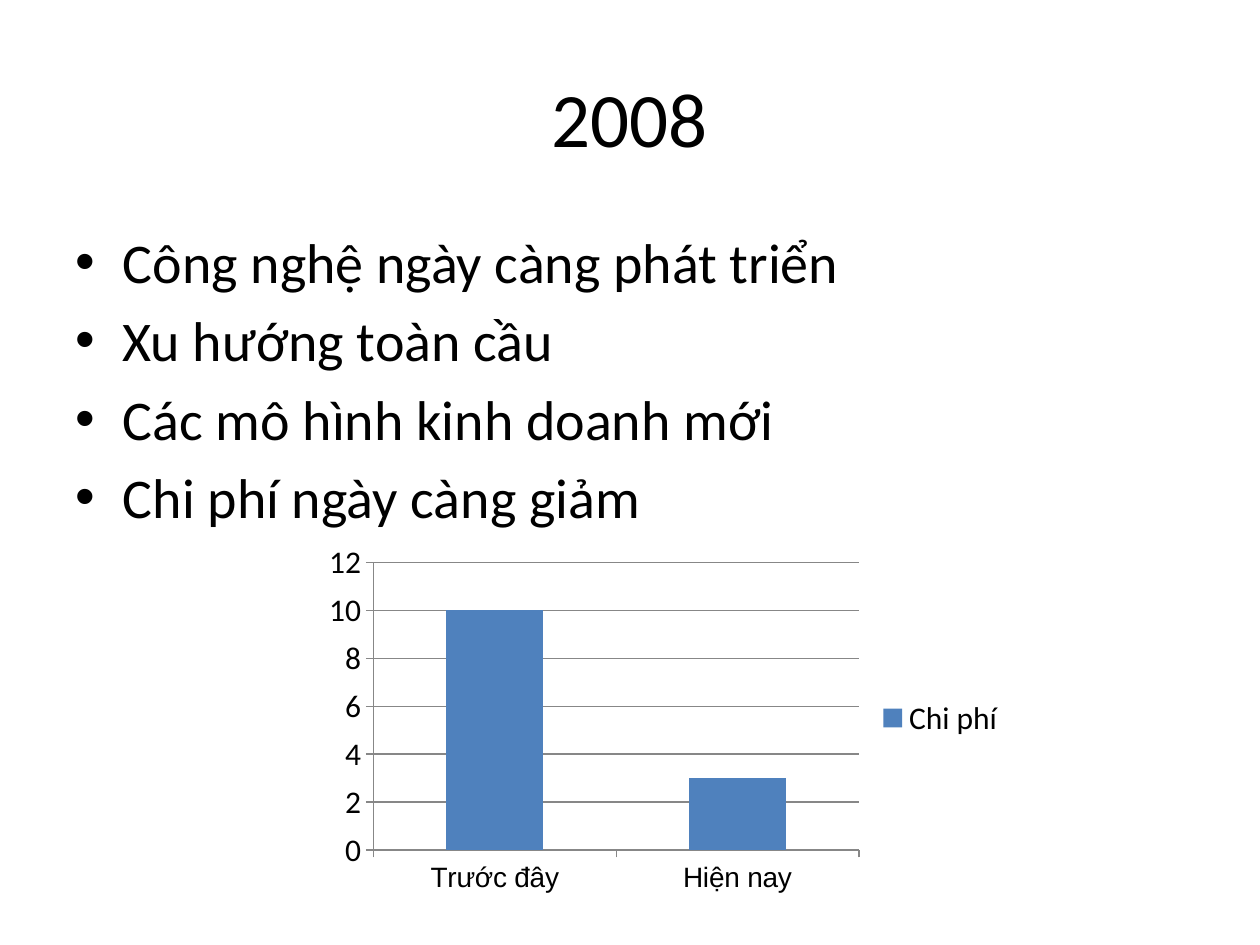
from pptx import Presentation
from pptx.chart.data import CategoryChartData
from pptx.dml.color import RGBColor
from pptx.enum.chart import XL_CHART_TYPE, XL_LEGEND_POSITION, XL_TICK_MARK
from pptx.enum.text import MSO_ANCHOR, PP_ALIGN
from pptx.util import Emu, Pt

COLUMNS = XL_CHART_TYPE.COLUMN_CLUSTERED
LEGEND_RIGHT = XL_LEGEND_POSITION.RIGHT
TICK_OUTSIDE = XL_TICK_MARK.OUTSIDE
MIDDLE, TOP = MSO_ANCHOR.MIDDLE, MSO_ANCHOR.TOP
CENTER, LEFT = PP_ALIGN.CENTER, PP_ALIGN.LEFT

EMU_PER_PIXEL = 914400 / 126
COLORS = {"text": "000000", "cost": "4F81BD", "axis": "878787"}


def px(length):
    return Emu(round(length * EMU_PER_PIXEL))


def color(name):
    return RGBColor.from_string(COLORS[name])


def style_font(font, size, family="Calibri"):
    font.size = Pt(size)
    font.name = family
    font.color.rgb = color("text")


def fill_placeholder(placeholder, box, lines, size, align, anchor):
    placeholder.left, placeholder.top, placeholder.width, placeholder.height = map(px, box)
    frame = placeholder.text_frame
    frame.text = "\n".join(lines)
    frame.vertical_anchor = anchor
    for paragraph in frame.paragraphs:
        paragraph.alignment = align
        style_font(paragraph.font, size)


def add_cost_chart(slide, box):
    costs = CategoryChartData()
    costs.categories = ["Trước đây", "Hiện nay"]
    costs.add_series("Chi phí", [10, 3])
    chart = slide.shapes.add_chart(COLUMNS, *map(px, box), costs).chart
    style_font(chart.font, 18)
    chart.has_title = False
    chart.has_legend = True
    chart.legend.position = LEGEND_RIGHT
    chart.legend.include_in_layout = False

    plot = chart.plots[0]
    plot.gap_width = 150
    plot.vary_by_categories = False
    cost_fill = plot.series[0].format.fill
    cost_fill.solid()
    cost_fill.fore_color.rgb = color("cost")

    periods, amounts = chart.category_axis, chart.value_axis
    style_font(periods.tick_labels.font, 16, "Arial")
    amounts.has_major_gridlines = True
    amounts.minimum_scale, amounts.maximum_scale, amounts.major_unit = 0, 12, 2
    for axis in (periods, amounts):
        axis.major_tick_mark = TICK_OUTSIDE
    for line in (periods.format.line, amounts.format.line, amounts.major_gridlines.format.line):
        line.color.rgb = color("axis")
        line.width = Pt(0.75)


def build_year_slide(presentation):
    slide = presentation.slides.add_slide(presentation.slide_layouts[1])
    title, reasons = slide.placeholders
    fill_placeholder(title, (63, 38, 1134, 158), ["2008"], 44, CENTER, MIDDLE)
    fill_placeholder(reasons, (63, 221, 1134, 624), [
        "Công nghệ ngày càng phát triển",
        "Xu hướng toàn cầu",
        "Các mô hình kinh doanh mới",
        "Chi phí ngày càng giảm",
    ], 32, LEFT, TOP)
    add_cost_chart(slide, (315, 536, 703, 364))


presentation = Presentation()
presentation.slide_width, presentation.slide_height = px(1260), px(945)
build_year_slide(presentation)
presentation.save("out.pptx")
